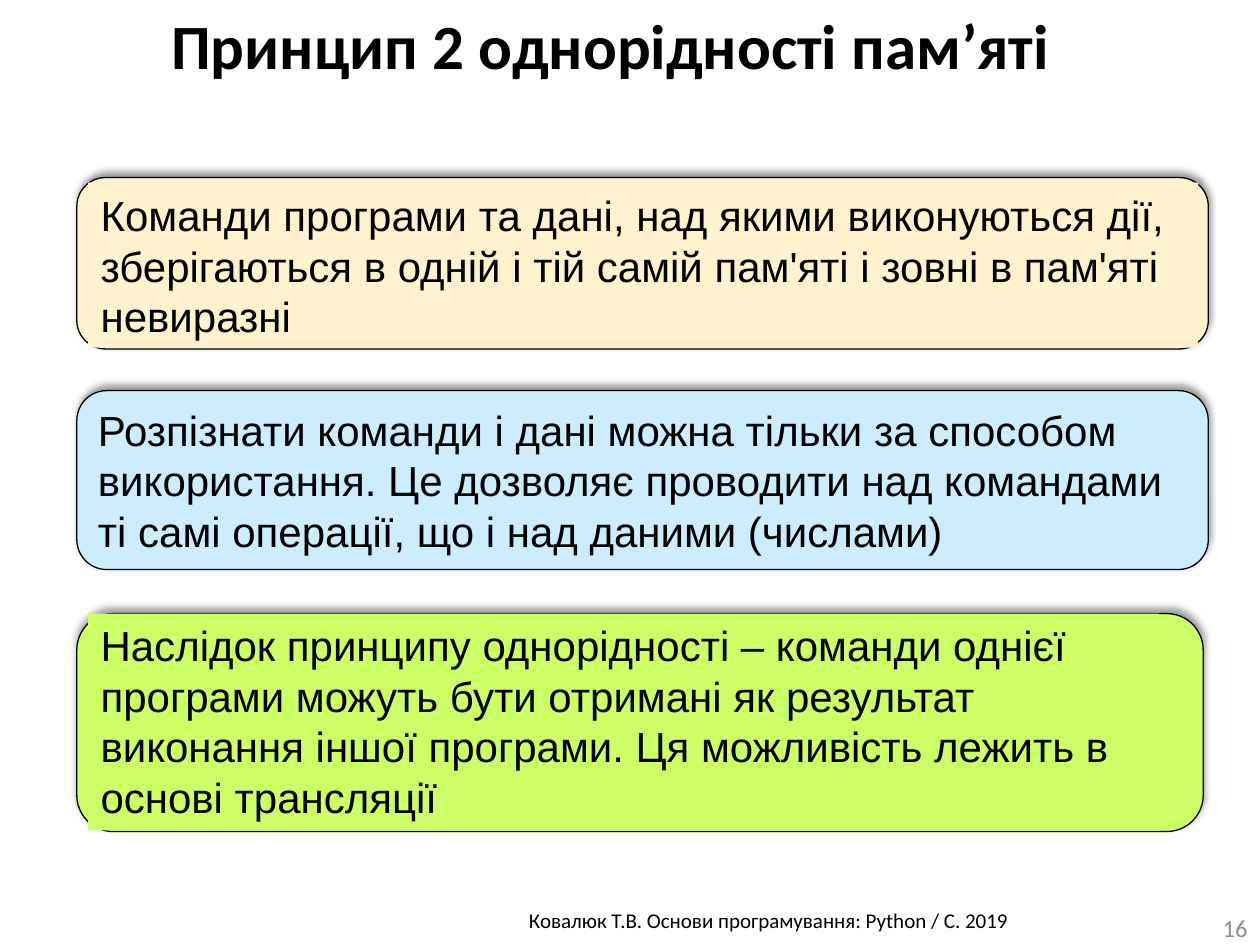
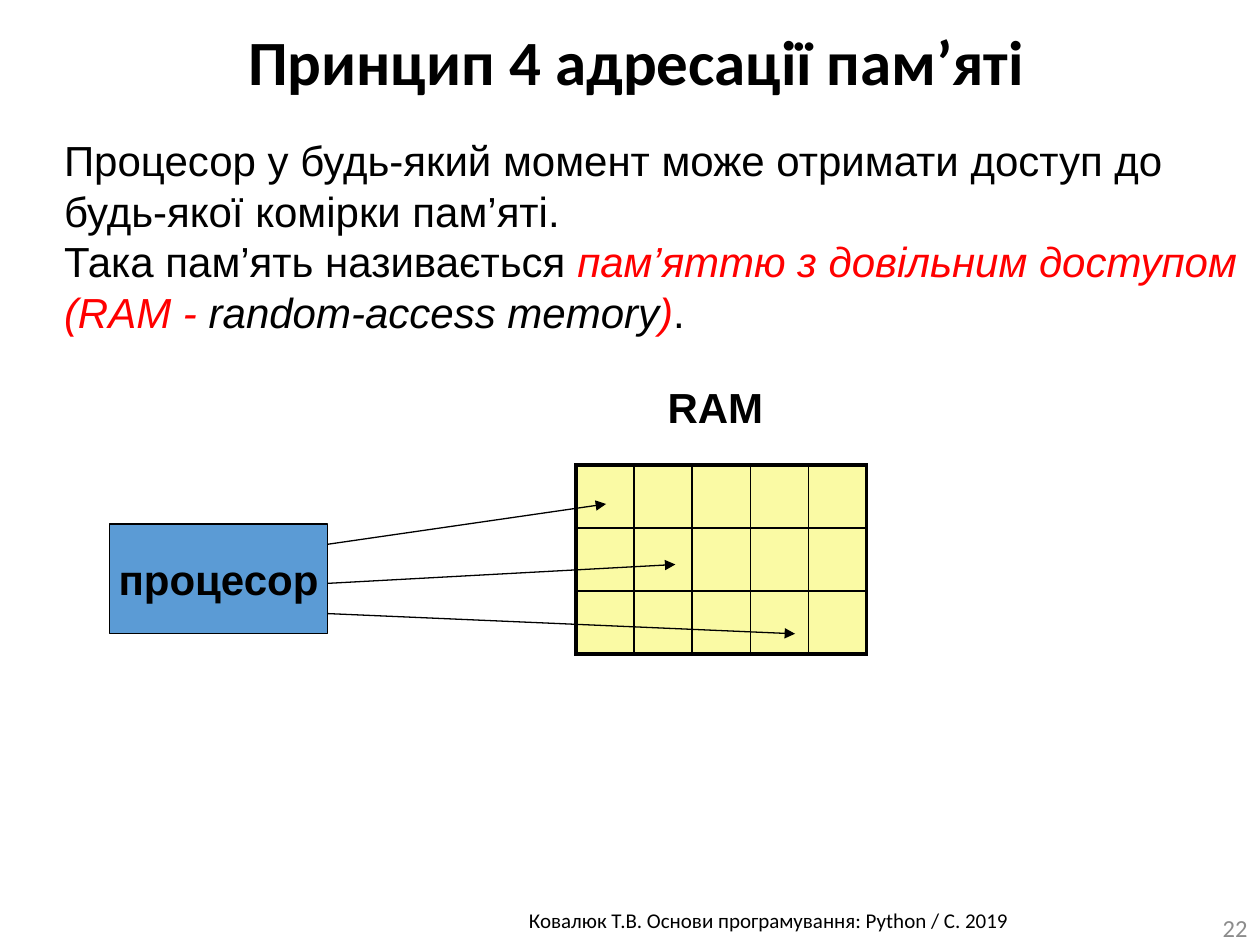
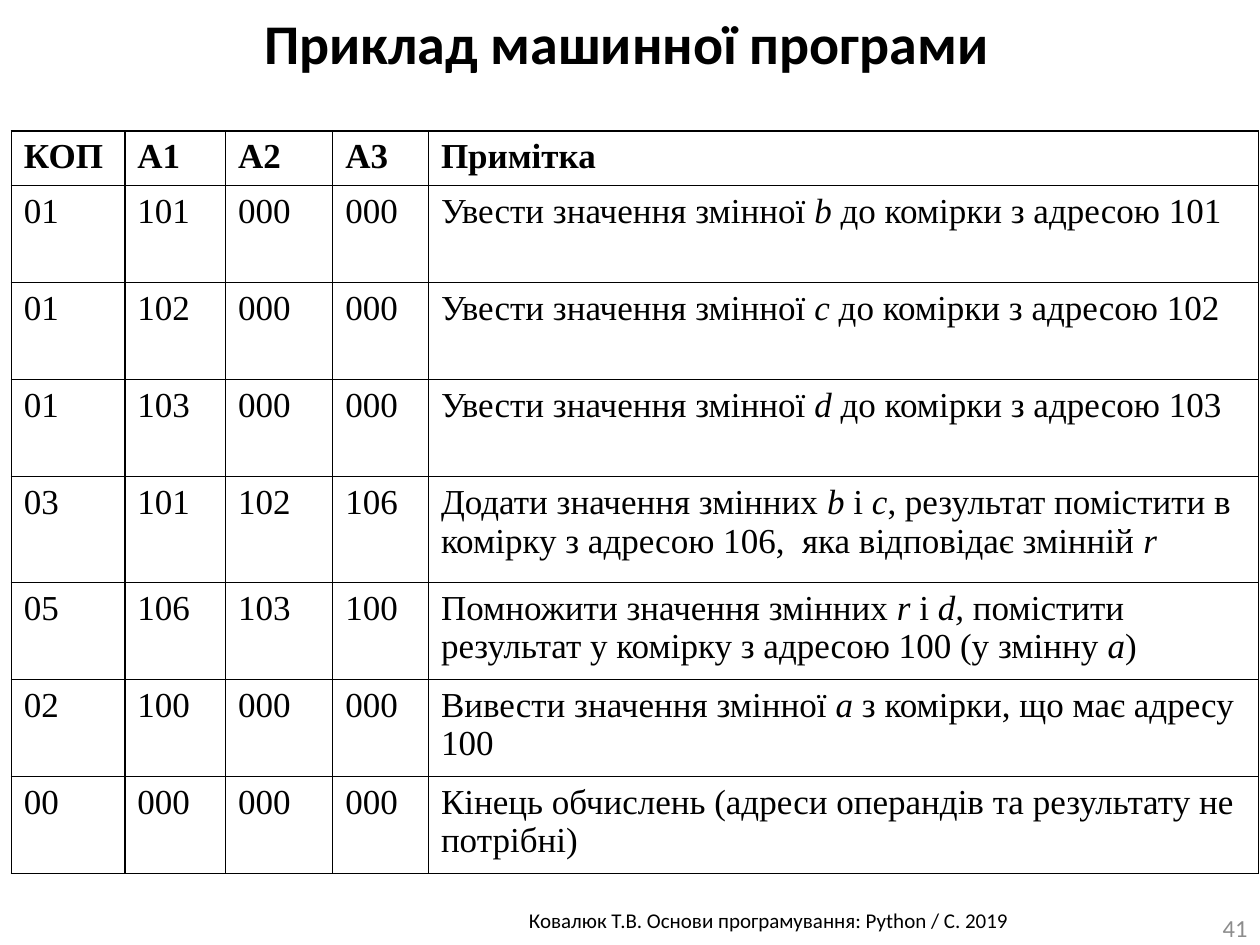
from lxml.etree import SubElement
from pptx import Presentation
from pptx.dml.color import RGBColor
from pptx.enum.shapes import MSO_CONNECTOR, MSO_SHAPE
from pptx.enum.text import MSO_ANCHOR, PP_ALIGN
from pptx.oxml.ns import qn
from pptx.util import Inches, Pt

BLACK = RGBColor(0x00, 0x00, 0x00)
GRAY = RGBColor(0x8C, 0x8C, 0x8C)
RED = RGBColor(0xFF, 0x00, 0x00)
CREAM = RGBColor(0xFF, 0xF2, 0xCC)
SKY = RGBColor(0xCC, 0xEC, 0xFF)
LIME = RGBColor(0xCC, 0xFF, 0x66)
BLUE = RGBColor(0x5B, 0x9B, 0xD5)
YELLOW = RGBColor(0xFA, 0xFA, 0xA4)

FOOTER = "Ковалюк Т.В. Основи програмування: Python / C. 2019 "


def write(frame, paragraphs, font="Arial", size=24, bold=False,
          align=PP_ALIGN.LEFT, anchor=MSO_ANCHOR.TOP, wrap=True):
    """Fill a text frame; each paragraph is a list of (text, colour, italic)."""
    frame.word_wrap = wrap
    frame.vertical_anchor = anchor
    for index, runs in enumerate(paragraphs):
        para = frame.paragraphs[0] if index == 0 else frame.add_paragraph()
        para.alignment = align
        for text, colour, italic in runs:
            span = para.add_run()
            span.text = text
            span.font.name = font
            span.font.size = Pt(size)
            span.font.bold = bold
            span.font.italic = italic
            span.font.color.rgb = colour


def set_borders(cell, left=1, right=1, top=1, bottom=1):
    """Draw black borders of the given widths in points."""
    properties = cell._tc.get_or_add_tcPr()
    for side, width in (("L", left), ("R", right), ("T", top), ("B", bottom)):
        line = SubElement(properties, qn(f"a:ln{side}"), w=str(Pt(width)))
        fill = SubElement(line, qn("a:solidFill"))
        SubElement(fill, qn("a:srgbClr"), val=str(BLACK))


deck = Presentation()
deck.slide_width = Inches(10)
deck.slide_height = Inches(7.5)

# Title, page number, title box, title size
page_heads = [
    ("Принцип 2 однорідності пам’яті", "16", (0, 0, 9.69, 0.71), 36),
    ("Принцип 4 адресації пам’яті", "22", (0.41, 0.13, 9.28, 0.71), 36),
    ("Приклад машинної програми", "41", (0.84, 0.02, 8.27, 0.63), 32),
]
pages = []
for title, number, title_place, title_size in page_heads:
    page = deck.slides.add_slide(deck.slide_layouts[6])
    pages.append(page)
    box = page.shapes.add_textbox(*map(Inches, (2.24, 7.15, 7.76, 0.3)))
    write(box.text_frame, [[(FOOTER, BLACK, False)]], "Calibri", 12, align=PP_ALIGN.CENTER)
    box = page.shapes.add_textbox(*map(Inches, title_place))
    write(box.text_frame, [[(title, BLACK, False)]], "Calibri", title_size, True, PP_ALIGN.CENTER)
    box = page.shapes.add_textbox(*map(Inches, (9.53, 7.22, 0.47, 0.28)))
    write(box.text_frame, [[(number, GRAY, False)]], "Calibri", 14,
          align=PP_ALIGN.RIGHT, anchor=MSO_ANCHOR.MIDDLE)
principle_page, memory_page, program_page = pages

# Memory uniformity: panel box, colour, inner text box if any, anchor, text
panels = [
    ((0.61, 1.41, 8.98, 1.36), CREAM, (0.7, 1.45, 8.81, 1.31), MSO_ANCHOR.MIDDLE,
     "Команди програми та дані, над якими виконуються дії, зберігаються в одній і тій "
     "самій пам'яті і зовні в пам'яті невиразні"),
    ((0.61, 3.1, 8.98, 1.42), SKY, None, MSO_ANCHOR.MIDDLE,
     "Розпізнати команди і дані можна тільки за способом використання. Це дозволяє "
     "проводити над командами ті самі операції, що і над даними (числами)"),
    ((0.61, 4.87, 8.94, 1.73), LIME, (0.7, 4.87, 8.5, 1.72), MSO_ANCHOR.TOP,
     "Наслідок принципу однорідності – команди однієї програми можуть бути отримані як "
     "результат виконання іншої програми. Ця можливість лежить в основі трансляції"),
]
for place, colour, text_place, anchor, text in panels:
    panel = principle_page.shapes.add_shape(MSO_SHAPE.ROUNDED_RECTANGLE, *map(Inches, place))
    panel.fill.solid()
    panel.fill.fore_color.rgb = colour
    panel.line.color.rgb = BLACK
    panel.line.width = Pt(0.75)
    panel.shadow.inherit = False
    effects = panel._element.spPr.find(qn("a:effectLst"))
    shadow = SubElement(effects, qn("a:outerShdw"), blurRad=str(Pt(4)), dist=str(Pt(3)),
                        dir="16200000", rotWithShape="0")
    tint = SubElement(shadow, qn("a:srgbClr"), val=str(BLACK))
    SubElement(tint, qn("a:alpha"), val="40000")
    holder = panel
    if text_place:
        holder = principle_page.shapes.add_textbox(*map(Inches, text_place))
        holder.fill.solid()
        holder.fill.fore_color.rgb = colour
    write(holder.text_frame, [[(text, BLACK, False)]], anchor=anchor)

# Memory addressing
box = memory_page.shapes.add_textbox(*map(Inches, (0.41, 1.01, 9.59, 1.72)))
write(box.text_frame, [
    [("Процесор у будь-який момент може отримати доступ до будь-якої комірки пам’яті.",
      BLACK, False)],
    [("Така пам’ять називається ", BLACK, False),
     ("пам’яттю з довільним доступом (RAM - ", RED, True),
     ("random-access memory", BLACK, True),
     (")", RED, True),
     (".", BLACK, False)],
], anchor=MSO_ANCHOR.MIDDLE)

processor = memory_page.shapes.add_shape(
    MSO_SHAPE.RECTANGLE, *map(Inches, (0.87, 4.16, 1.73, 0.87)))
processor.shadow.inherit = False
processor.fill.solid()
processor.fill.fore_color.rgb = BLUE
processor.line.color.rgb = BLACK
processor.line.width = Pt(0.75)
write(processor.text_frame, [[("процесор", BLACK, False)]], bold=True,
      align=PP_ALIGN.CENTER, anchor=MSO_ANCHOR.MIDDLE, wrap=False)

ROWS, COLUMNS = 3, 5
THIN, THICK = 1, 2.25
memory = memory_page.shapes.add_table(
    ROWS, COLUMNS, *map(Inches, (4.57, 3.69, 2.31, 1.5))).table
memory.first_row = memory.horz_banding = False
for row in range(ROWS):
    for column in range(COLUMNS):
        cell = memory.cell(row, column)
        set_borders(cell,
                    left=THICK if column == 0 else THIN,
                    right=THICK if column == COLUMNS - 1 else THIN,
                    top=THICK if row == 0 else THIN,
                    bottom=THICK if row == ROWS - 1 else THIN)
        cell.fill.solid()
        cell.fill.fore_color.rgb = YELLOW

box = memory_page.shapes.add_textbox(*map(Inches, (5.2, 2.98, 0.96, 0.5)))
write(box.text_frame, [[("RAM", BLACK, False)]], bold=True, wrap=False)

for start_y, end_x, end_y in [(4.32, 4.81, 4), (4.63, 5.36, 4.48), (4.87, 6.31, 5.03)]:
    arrow = memory_page.shapes.add_connector(
        MSO_CONNECTOR.STRAIGHT, *map(Inches, (2.6, start_y, end_x, end_y)))
    arrow.line.color.rgb = BLACK
    arrow.line.width = Pt(0.75)
    SubElement(arrow.line._get_or_add_ln(), qn("a:tailEnd"), type="triangle")
    SubElement(arrow._element.spPr, qn("a:effectLst"))

# Machine program: the last column alternates plain and italic pieces
program = [
    ("КОП", "A1", "А2", "А3", ["Примітка"]),
    ("01", "101", "000", "000", ["Увести значення змінної ", "b ", "до комірки з адресою 101"]),
    ("01", "102", "000", "000", ["Увести значення змінної ", "c ", "до комірки з адресою 102"]),
    ("01", "103", "000", "000", ["Увести значення змінної ", "d ", "до комірки з адресою 103"]),
    ("03", "101", "102", "106",
     ["Додати значення змінних ", "b", " і ", "c",
      ", результат помістити в комірку з адресою 106,  яка відповідає змінній", " r"]),
    ("05", "106", "103", "100",
     ["Помножити значення змінних ", "r", " і ", "d, ",
      "помістити результат у комірку з адресою 100 (у змінну ", "а", ")"]),
    ("02", "100", "000", "000",
     ["Вивести значення змінної ", "а ", "з комірки, що має адресу 100"]),
    ("00", "000", "000", "000",
     ["Кінець обчислень (адреси операндів та результату не потрібні)"]),
]
column_widths = [0.9, 0.8, 0.85, 0.76, 6.59]
row_heights = [0.43, 0.77, 0.77, 0.77, 0.84, 0.77, 0.77, 0.77]
listing = program_page.shapes.add_table(
    len(program), len(column_widths), *map(Inches, (0.09, 1.04, 9.9, 5.89))).table
listing.first_row = listing.horz_banding = False
for column, width in zip(listing.columns, column_widths):
    column.width = Inches(width)
for row, height in zip(listing.rows, row_heights):
    row.height = Inches(height)
for row, (*codes, note) in enumerate(program):
    for column, pieces in enumerate([[code] for code in codes] + [note]):
        cell = listing.cell(row, column)
        set_borders(cell)
        cell.fill.background()
        runs = [(piece, BLACK, index % 2 == 1) for index, piece in enumerate(pieces)]
        write(cell.text_frame, [runs], "Times New Roman", 20, bold=row == 0)

deck.save("out.pptx")
